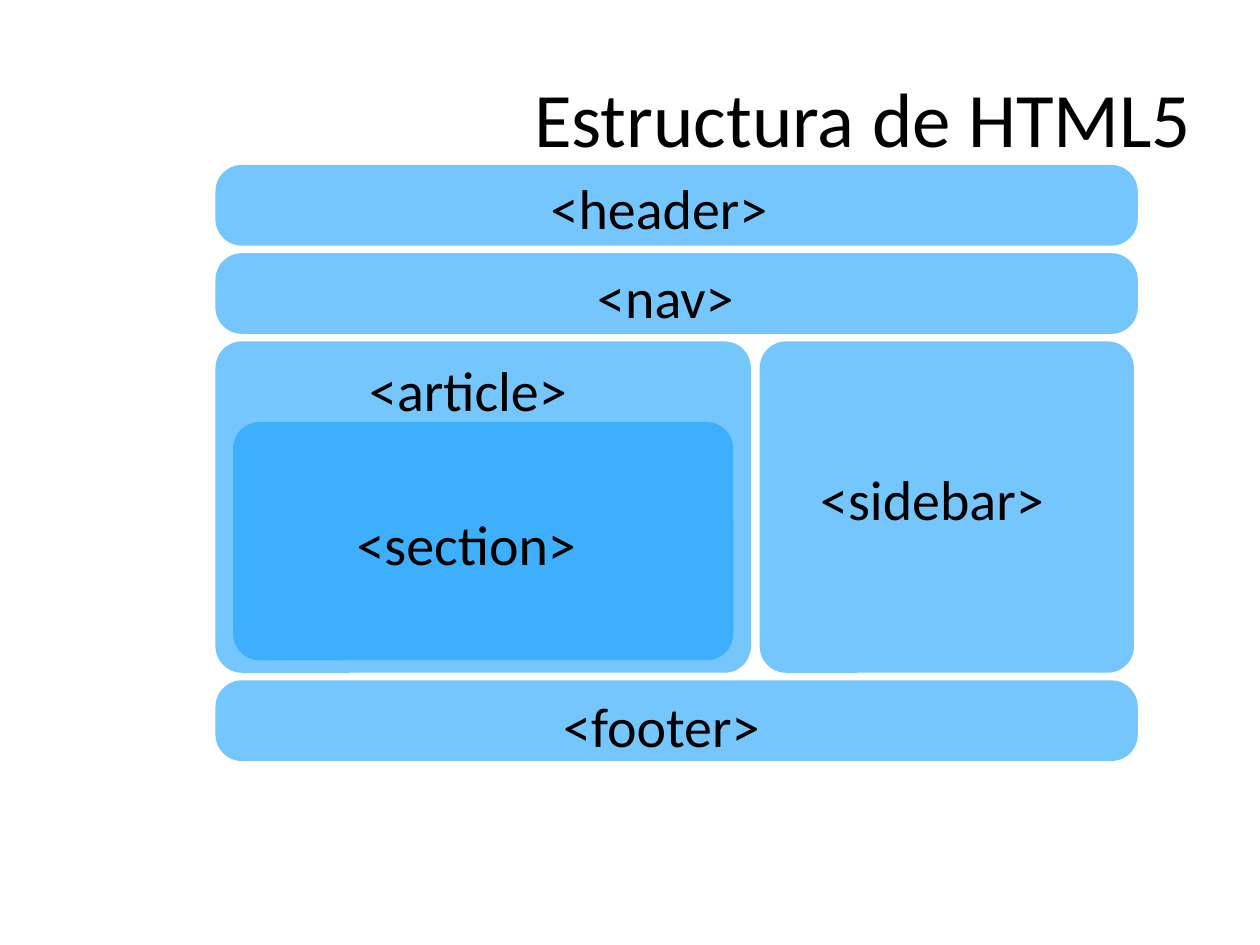
from lxml import etree
from pptx import Presentation
from pptx.dml.color import RGBColor
from pptx.enum.shapes import MSO_SHAPE
from pptx.enum.text import MSO_ANCHOR, PP_ALIGN
from pptx.oxml.ns import qn
from pptx.util import Inches, Pt

ROUND = MSO_SHAPE.ROUNDED_RECTANGLE
MIDDLE, TOP = MSO_ANCHOR.MIDDLE, MSO_ANCHOR.TOP
LEFT, RIGHT = PP_ALIGN.LEFT, PP_ALIGN.RIGHT
BLUE = RGBColor(0x1A, 0xA0, 0xFD)
BLACK = RGBColor(0, 0, 0)
FONT = "Calibri"
RADIUS = 0.21
OPACITY = 60

EDGE, WIDTH = 1.71, 7.32
BAR, STEP = 0.64, 0.7
HEAD_TOP = 1.31
NAV_TOP = HEAD_TOP + STEP
BODY_TOP, BODY = NAV_TOP + STEP, 2.63
FOOT_TOP = 5.4


def add_box(slide, left, top, width, height):
    box = slide.shapes.add_shape(
        ROUND, Inches(left), Inches(top), Inches(width), Inches(height))
    box.shadow.inherit = False
    box.adjustments[0] = RADIUS / min(width, height)
    box.fill.solid()
    box.fill.fore_color.rgb = BLUE
    color = box.fill._xPr.find(".//" + qn("a:srgbClr"))
    etree.SubElement(color, qn("a:alpha")).set("val", str(OPACITY * 1000))
    box.line.fill.background()


def add_text(slide, text, left, top, width, height=0.53, size=32,
             align=LEFT, anchor=TOP, inset=0, wrap=False):
    label = slide.shapes.add_textbox(
        Inches(left), Inches(top), Inches(width), Inches(height))
    frame = label.text_frame
    frame.word_wrap = wrap
    frame.vertical_anchor = anchor
    frame.margin_left = frame.margin_right = Inches(inset)
    frame.margin_top = frame.margin_bottom = Inches(inset)
    frame.text = text
    line = frame.paragraphs[0]
    line.alignment = align
    font = line.runs[0].font
    font.name, font.size = FONT, Pt(size)
    font.color.rgb = BLACK


def main():
    deck = Presentation()
    deck.slide_width, deck.slide_height = Inches(10), Inches(7.5)
    slide = deck.slides.add_slide(deck.slide_layouts[6])

    for top in (FOOT_TOP, NAV_TOP, HEAD_TOP):
        add_box(slide, EDGE, top, WIDTH, BAR)
    for left, width in ((6.03, 2.97), (EDGE, 4.25)):
        add_box(slide, left, BODY_TOP, width, BODY)
    add_box(slide, 1.85, 3.35, 3.97, 1.89)

    add_text(slide, "Estructura de HTML5", 0.5, 0.3, 9, 1.25, size=44,
             align=RIGHT, anchor=MIDDLE, inset=0.04, wrap=True)
    for tag, left, top, width in (
            ("header", 4.37, 1.38, 1.99),
            ("nav", 4.74, 2.08, 1.26),
            ("article", 2.93, 2.82, 1.8),
            ("sidebar", 6.51, 3.69, 2.07),
            ("footer", 4.47, 5.49, 1.8),
            ("section", 2.83, 4.04, 2.01)):
        add_text(slide, f"<{tag}>", left, top, width)

    deck.save("out.pptx")


main()
